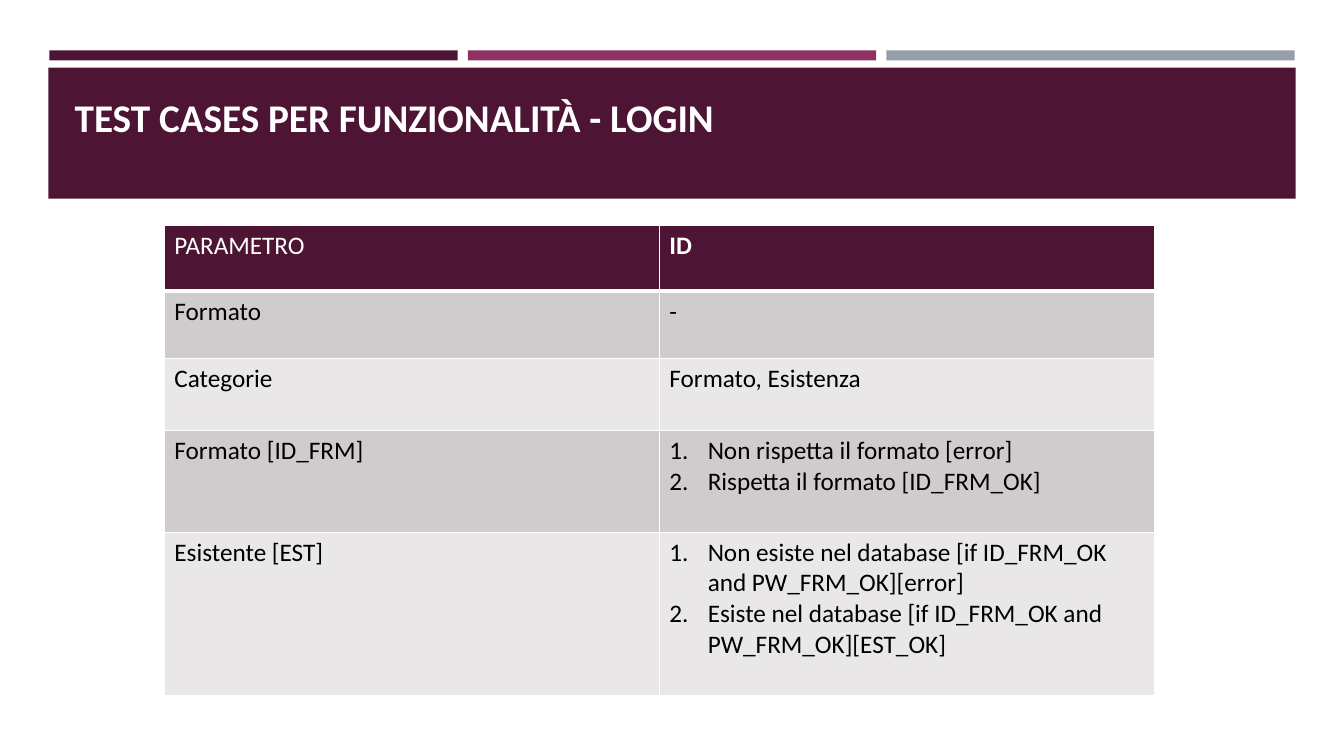
"""Build the slide with the login test cases table."""
from dataclasses import dataclass

from lxml.etree import SubElement
from pptx import Presentation
from pptx.dml.color import RGBColor
from pptx.enum.shapes import MSO_SHAPE as Shape
from pptx.enum.text import MSO_ANCHOR as Anchor, MSO_AUTO_SIZE as AutoSize, PP_ALIGN as Align
from pptx.oxml.ns import qn
from pptx.util import Emu, Pt

EMU_PER_PX = 9144


@dataclass(frozen=True)
class Theme:
    font: str = "Calibri"
    plum: str = "4D1434"
    magenta: str = "903163"
    steel: str = "969FA7"
    dark_row: str = "D0CCCE"
    light_row: str = "E9E7E8"
    white: str = "FFFFFF"
    black: str = "000000"
    title_size: int = 28
    table_size: int = 18
    thin_line: int = 1
    header_line: int = 3


@dataclass(frozen=True)
class Block:
    left: int
    top: int
    width: int
    height: int
    color: str


@dataclass(frozen=True)
class Row:
    height: int
    label: str
    values: tuple[str, ...]
    numbered: bool = False


THEME = Theme()
BLOCKS = (
    *(Block(49 + 415 * index, 50, 405, 10, color)
      for index, color in enumerate((THEME.plum, THEME.magenta, THEME.steel))),
    Block(48, 67, 1237, 130, THEME.plum),
)
ROWS = (
    Row(65, "PARAMETRO", ("ID",)),
    Row(67, "Formato", ("-",)),
    Row(71, "Categorie", ("Formato, Esistenza",)),
    Row(101, "Formato [ID_FRM]",
        ("Non rispetta il formato [error]", "Rispetta il formato [ID_FRM_OK]"), True),
    Row(162, "Esistente [EST]",
        ("Non esiste nel database [if ID_FRM_OK and PW_FRM_OK][error]",
         "Esiste nel database [if ID_FRM_OK and PW_FRM_OK][EST_OK]"), True),
)


def px(length: int) -> Emu:
    return Emu(length * EMU_PER_PX)


def add_span(para, text: str, size: int, color: str, bold: bool) -> None:
    span = para.add_run()
    span.text = text
    span.font.name = THEME.font
    span.font.size = Pt(size)
    span.font.bold = bold
    span.font.color.rgb = RGBColor.from_string(color)


def add_block(page, block: Block) -> None:
    box = page.shapes.add_shape(
        Shape.RECTANGLE, px(block.left), px(block.top), px(block.width), px(block.height))
    box.shadow.inherit = False
    box.fill.solid()
    box.fill.fore_color.rgb = RGBColor.from_string(block.color)
    box.line.fill.background()


def place_title(page, text: str) -> None:
    title = page.shapes.title
    title.left, title.top, title.width, title.height = px(64), px(77), px(1206), px(111)
    frame = title.text_frame
    frame.word_wrap = True
    frame.auto_size = AutoSize.NONE
    frame.vertical_anchor = Anchor.BOTTOM
    frame.margin_bottom = px(49)
    para = frame.paragraphs[0]
    para.alignment = Align.LEFT
    add_span(para, text, THEME.title_size, THEME.white, True)
    title.element.getparent().append(title.element)


def add_number(para) -> None:
    props = para._p.get_or_add_pPr()
    props.set("marL", str(px(38)))
    props.set("indent", str(-px(38)))
    SubElement(props, qn("a:buFont"), typeface="+mj-lt")
    SubElement(props, qn("a:buAutoNum"), type="arabicPeriod")


def set_borders(cell, top: int, bottom: int) -> None:
    props = cell._tc.get_or_add_tcPr()
    widths = {"L": THEME.thin_line, "R": THEME.thin_line, "T": top, "B": bottom}
    for side, width in widths.items():
        line = SubElement(props, qn(f"a:ln{side}"), w=str(Pt(width)))
        fill = SubElement(line, qn("a:solidFill"))
        SubElement(fill, qn("a:srgbClr"), val=THEME.white)


def fill_cell(cell, texts: tuple[str, ...], index: int, bold: bool, numbered: bool) -> None:
    header = index == 0
    set_borders(cell,
                THEME.header_line if index == 1 else THEME.thin_line,
                THEME.header_line if header else THEME.thin_line)
    band = THEME.dark_row if index % 2 else THEME.light_row
    cell.fill.solid()
    cell.fill.fore_color.rgb = RGBColor.from_string(THEME.plum if header else band)
    frame = cell.text_frame
    for number, text in enumerate(texts):
        para = frame.add_paragraph() if number else frame.paragraphs[0]
        if numbered:
            add_number(para)
        add_span(para, text, THEME.table_size, THEME.white if header else THEME.black, bold)


def add_cases(page, rows: tuple[Row, ...]) -> None:
    height = sum(row.height for row in rows)
    table = page.shapes.add_table(len(rows), 2, px(163), px(224), px(982), px(height)).table
    for index, row in enumerate(rows):
        table.rows[index].height = px(row.height)
        fill_cell(table.cell(index, 0), (row.label,), index, False, False)
        fill_cell(table.cell(index, 1), row.values, index, index == 0, row.numbered)


def main() -> None:
    deck = Presentation()
    deck.slide_width, deck.slide_height = px(1333), px(750)
    page = deck.slides.add_slide(deck.slide_layouts.get_by_name("Title Only"))
    for block in BLOCKS:
        add_block(page, block)
    place_title(page, "TEST CASES PER FUNZIONALITÀ - LOGIN")
    add_cases(page, ROWS)
    deck.save("out.pptx")


if __name__ == "__main__":
    main()
